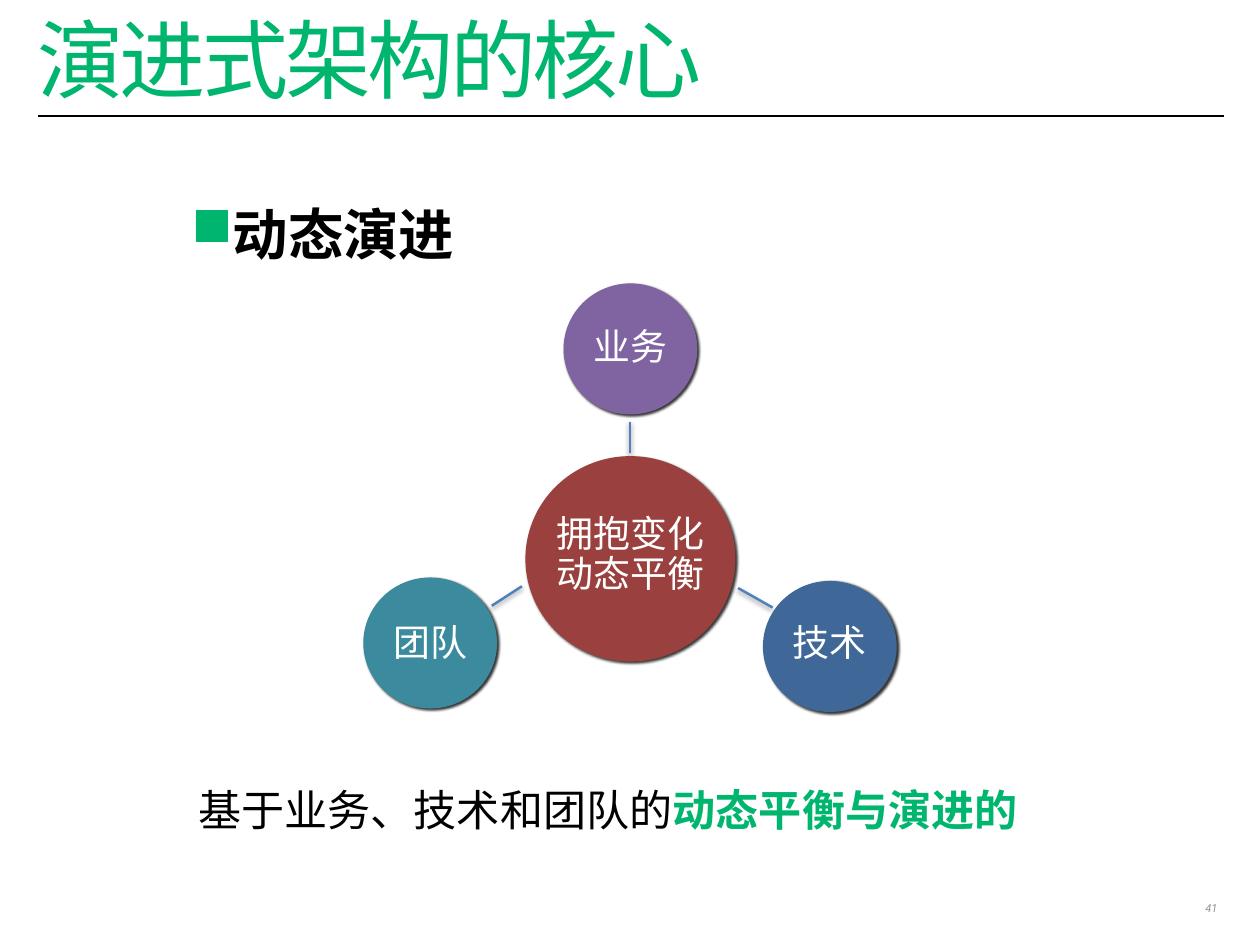
from dataclasses import dataclass

from lxml import etree
from pptx import Presentation
from pptx.dml.color import RGBColor
from pptx.enum.shapes import MSO_CONNECTOR, MSO_SHAPE
from pptx.enum.text import MSO_ANCHOR, PP_ALIGN
from pptx.oxml.ns import qn
from pptx.shapes.base import BaseShape
from pptx.slide import Slide
from pptx.text.text import _Paragraph
from pptx.util import Inches, Pt

LEFT, CENTER, RIGHT = PP_ALIGN.LEFT, PP_ALIGN.CENTER, PP_ALIGN.RIGHT
TOP, MIDDLE = MSO_ANCHOR.TOP, MSO_ANCHOR.MIDDLE
OVAL, STRAIGHT = MSO_SHAPE.OVAL, MSO_CONNECTOR.STRAIGHT


@dataclass(frozen=True)
class Theme:
    """Colours, fonts and type sizes of the slide."""
    green: str = "00B56E"
    black: str = "000000"
    white: str = "FFFFFF"
    grey: str = "929396"
    red: str = "9A403E"
    purple: str = "8064A2"
    blue: str = "3F6797"
    teal: str = "3C8A9E"
    spoke: str = "4F81BD"
    heading_font: str = "Roboto"
    body_font: str = "Calibri"
    cjk_font: str = "Noto Sans CJK SC"
    title_size: int = 70
    topic_size: int = 45
    summary_size: int = 35
    node_size: int = 30
    number_size: int = 9


@dataclass(frozen=True)
class Run:
    """A stretch of text in one format."""
    text: str
    size: int
    color: str
    font: str
    bold: bool = False
    italic: bool = False
    tracking: float = 0


@dataclass(frozen=True)
class Block:
    """A text box whose inner tuples are paragraphs."""
    at: tuple[float, float, float, float]
    paragraphs: tuple[tuple[Run, ...], ...]
    inset: float = 0
    align: PP_ALIGN = LEFT
    anchor: MSO_ANCHOR = TOP
    spacing: float = 1
    wrap: bool = False
    bullet: str = ""


@dataclass(frozen=True)
class Node:
    """A circle of the balance diagram."""
    lines: tuple[str, ...]
    at: tuple[float, float, float, float]
    color: str
    label_center: float


@dataclass(frozen=True)
class Shadow:
    """An outer shadow in percent, points and degrees."""
    alpha: int
    blur: int
    distance: int
    angle: int


@dataclass(frozen=True)
class Line:
    """A straight line between two points."""
    start: tuple[float, float]
    end: tuple[float, float]
    color: str
    width: int
    shadow: Shadow | None = None


THEME = Theme()
NODE_SHADOW = Shadow(79, 2, 2, 40)
SPOKE_SHADOW = Shadow(38, 4, 2, 90)
LABEL_LINE = 0.41

BLOCKS = (
    Block((0.42, 0.26, 13.39, 1.08),
          ((Run("演进式架构的核心", THEME.title_size, THEME.green,
                THEME.heading_font, tracking=-2.8),),),
          anchor=MIDDLE, spacing=0.7, wrap=True),
    Block((13.51, 10.12, 0.29, 0.32),
          ((Run("41", THEME.number_size, THEME.grey, THEME.heading_font, italic=True),),),
          inset=0.06, align=RIGHT),
    Block((2.11, 2.21, 3.07, 0.73),
          ((Run("动态演进", THEME.topic_size, THEME.black, THEME.heading_font, bold=True),),),
          inset=0.05, bullet="■"),
    Block((2.17, 8.78, 9.39, 0.63),
          ((Run("基于业务、技术和团队的", THEME.summary_size, THEME.black, THEME.body_font),
            Run("动态平衡与演进的", THEME.summary_size, THEME.green, THEME.body_font,
                bold=True)),),
          inset=0.07),
)

NODES = (
    Node(("拥抱变化", "动态平衡"), (5.93, 5.15, 2.37, 2.32), THEME.red, 6.27),
    Node(("业务",), (6.36, 3.2, 1.51, 1.48), THEME.purple, 3.94),
    Node(("技术",), (8.61, 6.56, 1.51, 1.48), THEME.blue, 7.28),
    Node(("团队",), (4.1, 6.52, 1.51, 1.48), THEME.teal, 7.28),
)

LINES = (
    Line((0.43, 1.31), (13.81, 1.31), THEME.black, 1),
    Line((7.11, 5.12), (7.11, 4.76), THEME.spoke, 2, SPOKE_SHADOW),
    Line((8.33, 6.64), (8.72, 6.86), THEME.spoke, 2, SPOKE_SHADOW),
    Line((5.55, 6.84), (5.89, 6.62), THEME.spoke, 2, SPOKE_SHADOW),
)


def add_effect(shape: BaseShape, shadow: Shadow | None) -> None:
    """Give a shape the shadow, or an empty effect list."""
    effects = etree.SubElement(shape._element.spPr, qn("a:effectLst"))
    if shadow:
        outer = etree.SubElement(effects, qn("a:outerShdw"), {
            "blurRad": str(Pt(shadow.blur)), "dist": str(Pt(shadow.distance)),
            "dir": str(shadow.angle * 60000), "rotWithShape": "0"})
        color = etree.SubElement(outer, qn("a:srgbClr"), val=THEME.black)
        etree.SubElement(color, qn("a:alpha"), val=str(shadow.alpha * 1000))


def add_bullet(paragraph: _Paragraph, mark: str) -> None:
    """Hang a green bullet before a paragraph."""
    properties = paragraph._p.get_or_add_pPr()
    properties.set("marL", str(Inches(0.45)))
    properties.set("indent", str(-Inches(0.45)))
    color = etree.SubElement(properties, qn("a:buClr"))
    etree.SubElement(color, qn("a:srgbClr"), val=THEME.green)
    etree.SubElement(properties, qn("a:buChar"), char=mark)


def add_run(paragraph: _Paragraph, content: Run) -> None:
    """Append a formatted run to a paragraph."""
    run = paragraph.add_run()
    run.text = content.text
    formats = {"size": Pt(content.size), "name": content.font,
               "bold": content.bold, "italic": content.italic}
    for key, value in formats.items():
        setattr(run.font, key, value)
    run.font.color.rgb = RGBColor.from_string(content.color)
    properties = run._r.get_or_add_rPr()
    etree.SubElement(properties, qn("a:ea"), typeface=THEME.cjk_font)
    if content.tracking:
        properties.set("spc", str(round(content.tracking * 100)))


def draw_block(slide: Slide, block: Block) -> None:
    """Draw a text box."""
    frame = slide.shapes.add_textbox(*map(Inches, block.at)).text_frame
    inset = Inches(block.inset)
    formats = {"word_wrap": block.wrap, "vertical_anchor": block.anchor,
               "margin_left": inset, "margin_top": inset,
               "margin_right": inset, "margin_bottom": inset}
    for key, value in formats.items():
        setattr(frame, key, value)
    for index, runs in enumerate(block.paragraphs):
        paragraph = frame.add_paragraph() if index else frame.paragraphs[0]
        paragraph.alignment = block.align
        paragraph.line_spacing = block.spacing
        if block.bullet:
            add_bullet(paragraph, block.bullet)
        for content in runs:
            add_run(paragraph, content)


def draw_node(slide: Slide, node: Node) -> None:
    """Draw a circle and its label."""
    circle = slide.shapes.add_shape(OVAL, *map(Inches, node.at))
    circle.fill.solid()
    circle.fill.fore_color.rgb = RGBColor.from_string(node.color)
    circle.line.fill.background()
    add_effect(circle, NODE_SHADOW)
    left, _, width, _ = node.at
    height = LABEL_LINE * len(node.lines)
    paragraphs = tuple((Run(line, THEME.node_size, THEME.white, THEME.cjk_font),)
                       for line in node.lines)
    draw_block(slide, Block((left, node.label_center - height / 2, width, height),
                            paragraphs, align=CENTER, anchor=MIDDLE,
                            spacing=0.9, wrap=True))


def draw_line(slide: Slide, line: Line) -> None:
    """Draw a straight line."""
    connector = slide.shapes.add_connector(STRAIGHT, *map(Inches, line.start + line.end))
    connector.line.color.rgb = RGBColor.from_string(line.color)
    connector.line.width = Pt(line.width)
    add_effect(connector, line.shadow)


def main() -> None:
    """Build and save the slide."""
    deck = Presentation()
    deck.slide_width, deck.slide_height = Inches(14.22), Inches(10.67)
    slide = deck.slides.add_slide(deck.slide_layouts[6])
    for draw, items in ((draw_line, LINES), (draw_block, BLOCKS), (draw_node, NODES)):
        for item in items:
            draw(slide, item)
    deck.save("out.pptx")


if __name__ == "__main__":
    main()
